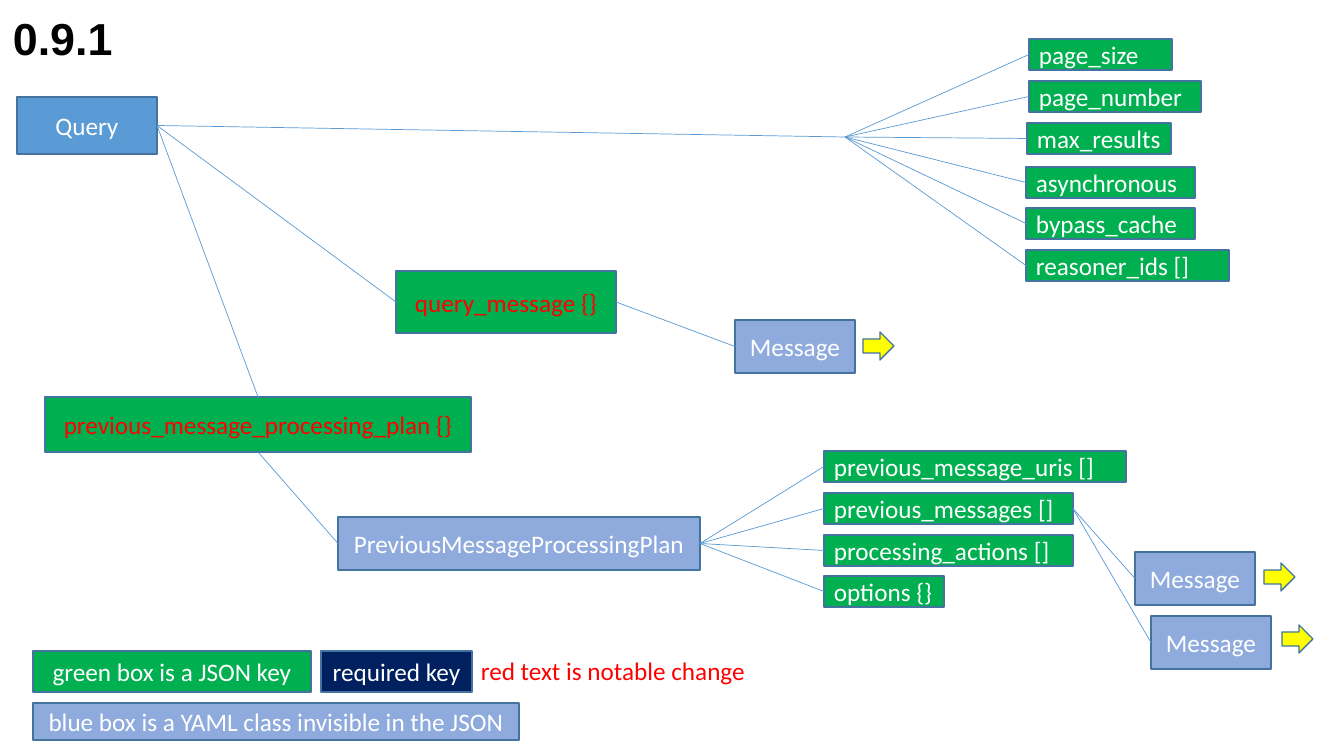
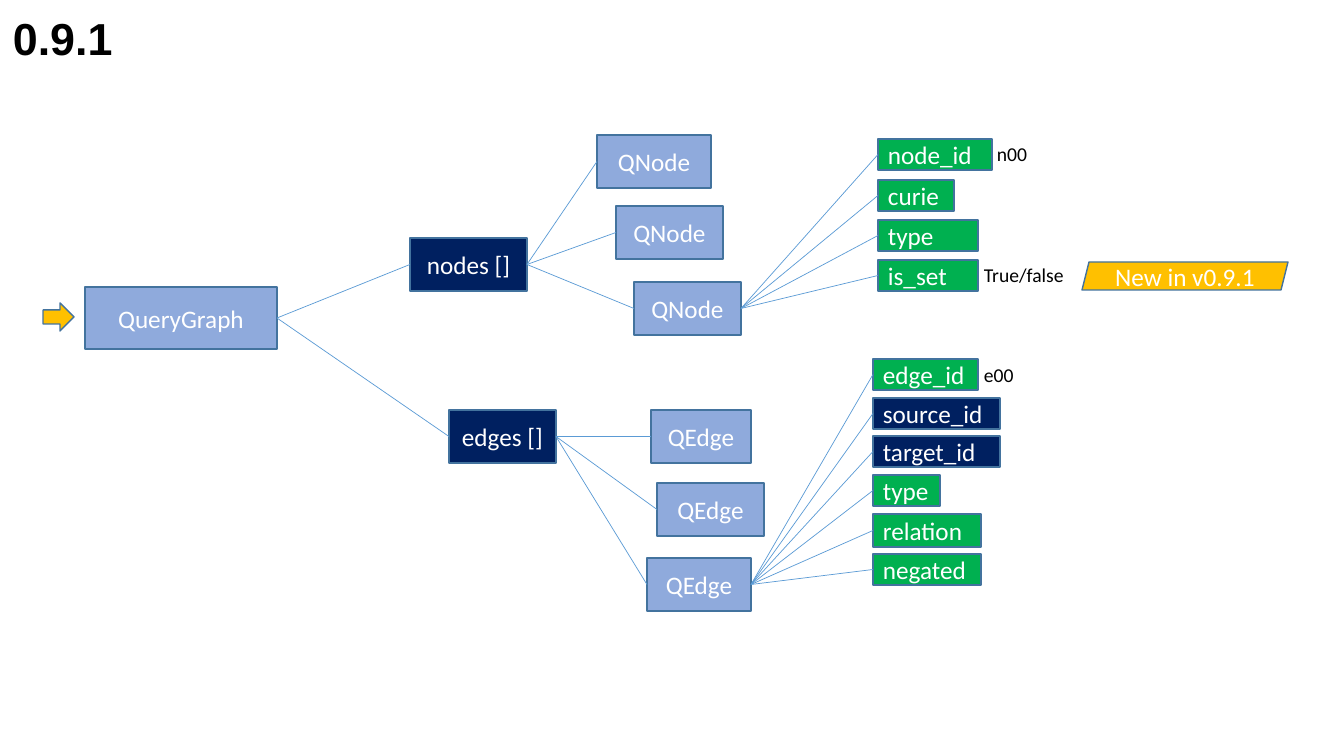
from dataclasses import dataclass
from enum import IntEnum
from typing import Optional

from lxml.etree import SubElement
from pptx import Presentation
from pptx.dml.color import RGBColor
from pptx.enum.shapes import MSO_CONNECTOR, MSO_SHAPE
from pptx.enum.text import MSO_ANCHOR, MSO_AUTO_SIZE, PP_ALIGN
from pptx.oxml.ns import qn
from pptx.shapes.autoshape import Shape
from pptx.shapes.connector import Connector
from pptx.slide import Slide
from pptx.util import Emu, Pt

PX_PER_INCH = 100.8
ROW_H = 31
CLASS_H = 53

WHITE = RGBColor(0xFF, 0xFF, 0xFF)
BLACK = RGBColor(0x00, 0x00, 0x00)
RED = RGBColor(0xFF, 0x00, 0x00)
GREEN = RGBColor(0x00, 0xB0, 0x50)
NAVY = RGBColor(0x00, 0x20, 0x60)
BLUE = RGBColor(0x5B, 0x9B, 0xD5)
LIGHT_BLUE = RGBColor(0x8F, 0xAA, 0xDC)
OUTLINE = RGBColor(0x43, 0x73, 0x9E)
YELLOW = RGBColor(0xFF, 0xFF, 0x00)
AMBER = RGBColor(0xFF, 0xC0, 0x00)


class Side(IntEnum):
    TOP = 0
    LEFT = 1
    BOTTOM = 2
    RIGHT = 3


@dataclass(frozen=True)
class Box:
    text: str
    x: int
    y: int
    w: int
    h: int = CLASS_H
    fill: RGBColor = LIGHT_BLUE
    color: RGBColor = WHITE
    align: PP_ALIGN = PP_ALIGN.CENTER
    preset: MSO_SHAPE = MSO_SHAPE.RECTANGLE


@dataclass(frozen=True)
class Row:
    text: str
    y: int
    w: int
    x: int
    fill: RGBColor = GREEN
    h: int = ROW_H


@dataclass(frozen=True)
class Label:
    text: str
    x: int
    y: int
    w: int
    h: int = 34
    size: int = 14
    color: RGBColor = BLACK
    font: str = "Calibri"
    bold: bool = False
    wrap: bool = False


TITLE = Label("0.9.1", 3, 6, 194, 65, 32, font="Arial", bold=True, wrap=True)


def px(n: float) -> Emu:
    return Emu(round(n * 914400 / PX_PER_INCH))


def draw_box(s: Slide, box: Box) -> Shape:
    sp = s.shapes.add_shape(box.preset, px(box.x), px(box.y), px(box.w), px(box.h))
    sp.shadow.inherit = False
    sp.fill.solid()
    sp.fill.fore_color.rgb = box.fill
    sp.line.color.rgb = OUTLINE
    sp.line.width = Pt(1)
    if box.text:
        tf = sp.text_frame
        tf.word_wrap = True
        tf.vertical_anchor = MSO_ANCHOR.MIDDLE
        p = tf.paragraphs[0]
        p.text = box.text
        p.alignment = box.align
        p.font.name = "Calibri"
        p.font.size = Pt(18)
        p.font.color.rgb = box.color
    return sp


def draw_label(s: Slide, label: Label) -> None:
    sp = s.shapes.add_textbox(px(label.x), px(label.y), px(label.w), px(label.h))
    tf = sp.text_frame
    tf.word_wrap = label.wrap
    tf.auto_size = MSO_AUTO_SIZE.SHAPE_TO_FIT_TEXT
    p = tf.paragraphs[0]
    p.text = label.text
    p.font.name = label.font
    p.font.size = Pt(label.size)
    p.font.bold = label.bold
    p.font.color.rgb = label.color


def draw_line(s: Slide, x: int = 0, y: int = 0) -> Connector:
    line = s.shapes.add_connector(MSO_CONNECTOR.STRAIGHT, px(x), px(y), px(x), px(y))
    line.line.color.rgb = BLUE
    line.line.width = Pt(0.5)
    SubElement(line._element.spPr, qn("a:effectLst"))
    return line


def link(s: Slide, parent: Shape, child: Shape,
         start: Side = Side.RIGHT, end: Side = Side.LEFT) -> None:
    line = draw_line(s)
    line.begin_connect(child, end)
    line.end_connect(parent, start)


def draw_children(s: Slide, parent: Shape, boxes: list[Box]) -> list[Shape]:
    shapes = [draw_box(s, box) for box in boxes]
    for sp in shapes:
        link(s, parent, sp)
    return shapes


def draw_rows(s: Slide, rows: list[Row], parent: Optional[Shape] = None) -> list[Shape]:
    boxes = [Box(r.text, r.x, r.y, r.w, r.h, r.fill, align=PP_ALIGN.LEFT) for r in rows]
    if parent is None:
        return [draw_box(s, box) for box in boxes]
    return draw_children(s, parent, boxes)


def draw_arrow(s: Slide, x: int, y: int, fill: RGBColor = YELLOW) -> None:
    draw_box(s, Box("", x, y, 31, 28, fill, preset=MSO_SHAPE.RIGHT_ARROW))


def add_slide(prs: Presentation) -> Slide:
    s = prs.slides.add_slide(prs.slide_layouts[6])
    draw_label(s, TITLE)
    return s


def build_query(prs: Presentation) -> None:
    s = add_slide(prs)
    query = draw_box(s, Box("Query", 17, 97, 140, 57, BLUE))

    hub = (845, 137)
    draw_line(s, *hub).end_connect(query, Side.RIGHT)
    options = draw_rows(s, [
        Row("page_size", 39, 143, 1029),
        Row("page_number", 81, 172, 1029),
        Row("max_results", 123, 144, 1027),
        Row("asynchronous", 167, 169, 1026),
        Row("bypass_cache", 208, 169, 1026),
        Row("reasoner_ids []", 250, 203, 1026),
    ])
    for option in options:
        draw_line(s, *hub).end_connect(option, Side.LEFT)

    query_message, = draw_children(s, query, [
        Box("query_message {}", 396, 271, 220, 62, GREEN, RED)])
    draw_children(s, query_message, [Box("Message", 735, 320, 120)])

    plan_key = draw_box(s, Box("previous_message_processing_plan {}",
                               45, 397, 426, 55, GREEN, RED))
    link(s, query, plan_key, end=Side.TOP)
    plan = draw_box(s, Box("PreviousMessageProcessingPlan", 338, 517, 362))
    link(s, plan_key, plan, start=Side.BOTTOM)
    plan_rows = draw_rows(s, [
        Row("previous_message_uris []", 451, 302, 824),
        Row("previous_messages []", 493, 249, 824),
        Row("processing_actions []", 535, 249, 824),
        Row("options {}", 576, 120, 824),
    ], plan)
    draw_children(s, plan_rows[1], [
        Box("Message", 1135, 552, 120),
        Box("Message", 1151, 616, 120),
    ])
    for x, y in ((863, 332), (1264, 563), (1282, 625)):
        draw_arrow(s, x, y)

    for box in (
        Box("green box is a JSON key", 33, 651, 278, 41, GREEN),
        Box("required key", 321, 651, 151, 41, NAVY),
        Box("blue box is a YAML class invisible in the JSON", 33, 703, 486, 37),
    ):
        draw_box(s, box)
    draw_label(s, Label("red text is notable change", 471, 650, 287, 40, 18, RED))


def build_query_graph(prs: Presentation) -> None:
    s = add_slide(prs)
    draw_arrow(s, 43, 303, AMBER)
    graph = draw_box(s, Box("QueryGraph", 85, 287, 192, 62))
    nodes, edges = draw_children(s, graph, [
        Box("nodes []", 410, 238, 117, fill=NAVY),
        Box("edges []", 449, 410, 107, fill=NAVY),
    ])
    qnodes = draw_children(s, nodes, [
        Box("QNode", 597, 135, 114),
        Box("QNode", 616, 206, 107),
        Box("QNode", 634, 282, 107),
    ])
    qedges = draw_children(s, edges, [
        Box("QEdge", 651, 410, 100),
        Box("QEdge", 657, 483, 107),
        Box("QEdge", 647, 558, 104),
    ])
    draw_rows(s, [
        Row("node_id", 139, 114, 878),
        Row("curie", 180, 76, 878),
        Row("type", 220, 100, 878),
        Row("is_set", 260, 100, 878),
    ], qnodes[-1])
    draw_rows(s, [
        Row("edge_id", 359, 105, 873),
        Row("source_id", 398, 127, 873, NAVY),
        Row("target_id", 436, 127, 873, NAVY),
        Row("type", 475, 67, 873),
        Row("relation", 514, 108, 873, h=33),
        Row("negated", 554, 108, 873),
    ], qedges[-1])
    for label in (
        Label("n00", 987, 137, 51),
        Label("True/false", 974, 258, 101),
        Label("e00", 974, 358, 50),
    ):
        draw_label(s, label)
    draw_box(s, Box("New in v0.9.1", 1082, 262, 206, 28, AMBER,
                    preset=MSO_SHAPE.PARALLELOGRAM))


def main() -> None:
    prs = Presentation()
    prs.slide_width = px(1344)
    prs.slide_height = px(756)
    build_query(prs)
    build_query_graph(prs)
    prs.save("out.pptx")


main()
